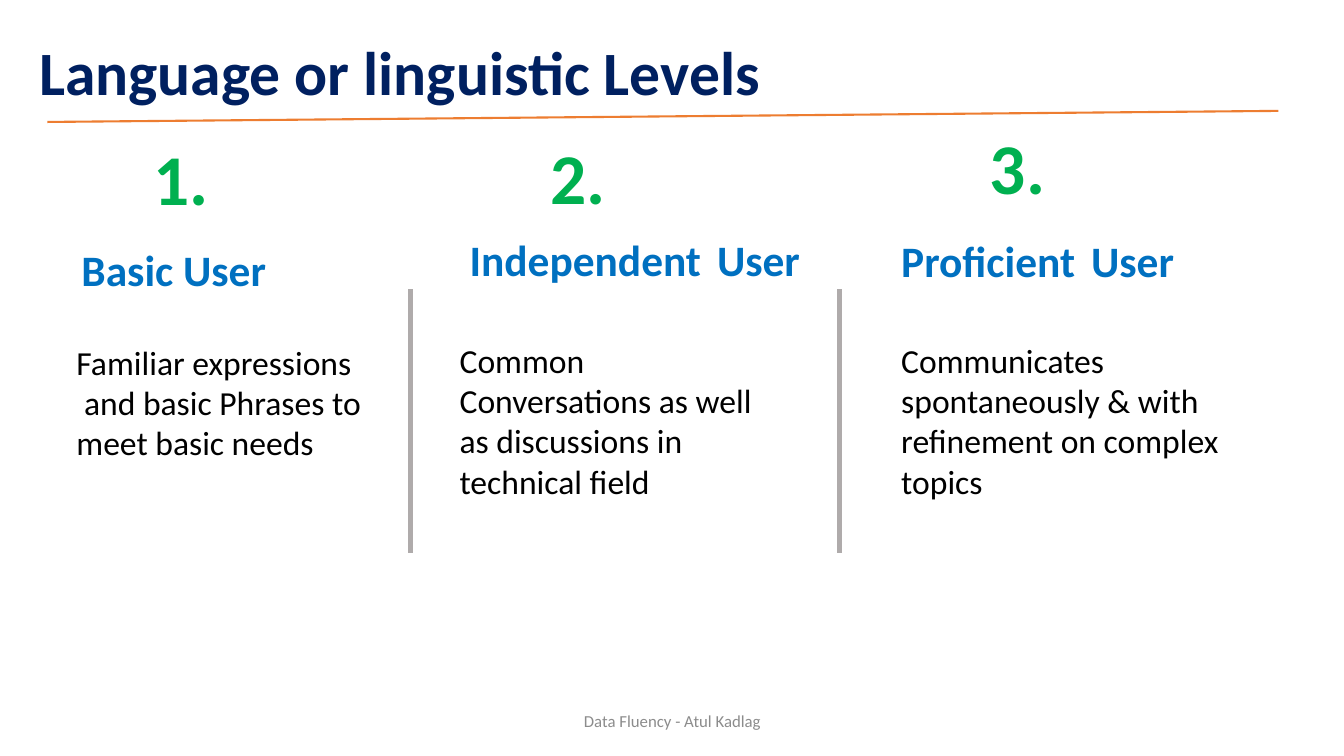
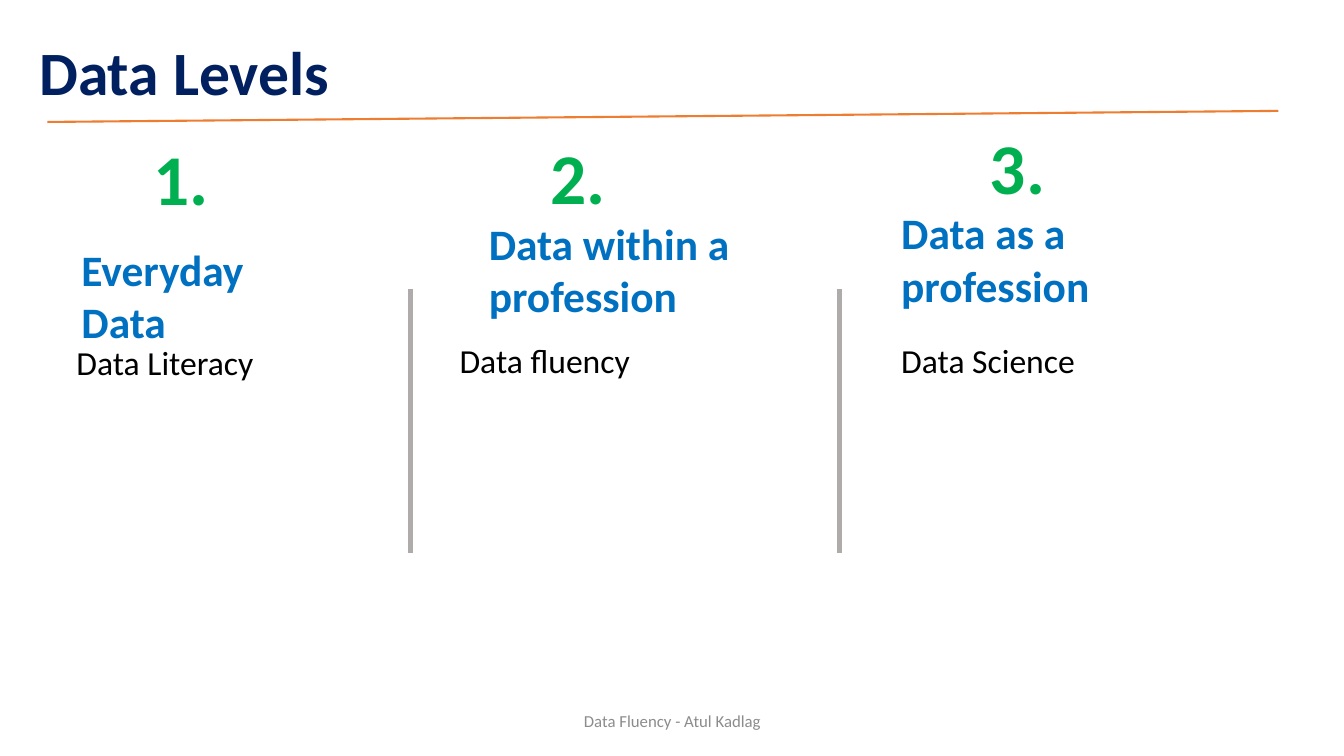
from dataclasses import dataclass
from typing import NamedTuple

from lxml.etree import SubElement
from pptx import Presentation
from pptx.dml.color import RGBColor
from pptx.enum.shapes import MSO_CONNECTOR as Connector
from pptx.enum.text import MSO_ANCHOR as Anchor, MSO_AUTO_SIZE as AutoSize, PP_ALIGN as Align
from pptx.oxml.ns import qn
from pptx.shapes.autoshape import Shape
from pptx.slide import Slide
from pptx.util import Inches, Pt


@dataclass(frozen=True)
class Theme:
    font: str = "Calibri"
    navy: str = "002060"
    blue: str = "0070C0"
    green: str = "00B050"
    orange: str = "ED7D31"
    black: str = "000000"
    grey: str = "8C8C8C"
    divider: str = "AFABAB"
    number_size: int = 51
    title_size: int = 44
    heading_size: int = 31
    body_size: int = 24
    footer_size: int = 12


class Area(NamedTuple):
    left: float
    top: float
    width: float
    height: float


class Column(NamedTuple):
    number: str
    number_area: Area
    body_left: float
    body_top: float


class Level(NamedTuple):
    """Heading lines (each a tuple of words joined by a wide gap) and body lines."""
    heading_area: Area
    heading: tuple[tuple[str, ...], ...]
    body: tuple[str, ...]
    body_height: float


class Topic(NamedTuple):
    title: str
    levels: tuple[Level, ...]


THEME = Theme()
TITLE_AREA = Area(0.29, 0.02, 11.5, 1.45)
FOOTER_AREA = Area(4.42, 6.95, 4.5, 0.4)
FOOTER = "Data Fluency - Atul Kadlag"
BODY_WIDTH = 3.35
DIVIDERS = (4.07, 8.33)
DIVIDER_TOP, DIVIDER_BOTTOM = 2.87, 5.49

COLUMNS = (
    Column("1.", Area(1.42, 1.28, 0.76, 0.96), 0.66, 3.34),
    Column("2.", Area(5.36, 1.27, 0.76, 0.96), 4.46, 3.32),
    Column("3.", Area(9.72, 1.17, 0.84, 0.96), 8.84, 3.32),
)

TOPICS = (
    Topic("Language or linguistic Levels", (
        Level(Area(0.71, 2.36, 2.19, 0.62), (("Basic User",),),
              ("Familiar expressions", " and basic Phrases to", "meet basic needs"), 1.33),
        Level(Area(4.56, 1.99, 3.63, 0.96), (("Independent", "User"),),
              ("Common Conversations as well as discussions in technical field",), 1.72),
        Level(Area(8.84, 2, 3.63, 0.96), (("Proficient", "User"),),
              ("Communicates spontaneously & with refinement on complex topics",), 1.72),
    )),
    Topic("Data Levels", (
        Level(Area(0.71, 2.36, 2.7, 0.62), (("Everyday Data",),), ("Data Literacy",), 0.5),
        Level(Area(4.75, 2.1, 3.13, 1.14), (("Data within a",), ("profession",)),
              ("Data fluency",), 0.5),
        Level(Area(8.84, 2, 3.63, 1.14), (("Data as a profession",),), ("Data Science",), 0.5),
    )),
)


def write(box: Shape, lines: tuple[tuple[str, ...], ...], *, size: int, color: str,
          bold: bool = False, align: Align = Align.LEFT, anchor: Anchor = Anchor.TOP,
          line_spacing: float = 1.0, grow: bool = True) -> None:
    """Fill a box; words within a line are parted by one number-sized space."""
    frame = box.text_frame
    frame.word_wrap = True
    frame.auto_size = AutoSize.SHAPE_TO_FIT_TEXT if grow else AutoSize.NONE
    frame.vertical_anchor = anchor
    for index, words in enumerate(lines):
        para = frame.add_paragraph() if index else frame.paragraphs[0]
        para.alignment = align
        para.line_spacing = line_spacing
        pieces = [(words[0], size)]
        for word in words[1:]:
            pieces += [(" ", THEME.number_size), (word, size)]
        for text, points in pieces:
            span = para.add_run()
            span.text = text
            span.font.name = THEME.font
            span.font.size = Pt(points)
            span.font.bold = bold
            span.font.color.rgb = RGBColor.from_string(color)


def add_text(page: Slide, area: Area, lines: tuple[tuple[str, ...], ...], **style) -> None:
    write(page.shapes.add_textbox(*map(Inches, area)), lines, **style)


def add_line(page: Slide, start: tuple[float, float], end: tuple[float, float], *,
             color: str, width: float) -> None:
    line = page.shapes.add_connector(Connector.STRAIGHT, *map(Inches, start + end))
    line.line.color.rgb = RGBColor.from_string(color)
    line.line.width = Pt(width)
    SubElement(line._element.spPr, qn("a:effectLst"))


def add_frame(page: Slide, title: str) -> None:
    """Draw the title, the rule, the dividers and the footer."""
    box = page.shapes.title
    box.left, box.top, box.width, box.height = map(Inches, TITLE_AREA)
    write(box, ((title,),), size=THEME.title_size, color=THEME.navy, bold=True,
          anchor=Anchor.MIDDLE, line_spacing=0.9, grow=False)
    add_line(page, (0.47, 1.21), (12.68, 1.1), color=THEME.orange, width=1.5)
    for left in DIVIDERS:
        add_line(page, (left, DIVIDER_TOP), (left, DIVIDER_BOTTOM),
                 color=THEME.divider, width=3.5)
    add_text(page, FOOTER_AREA, ((FOOTER,),), size=THEME.footer_size, color=THEME.grey,
             align=Align.CENTER, anchor=Anchor.MIDDLE, grow=False)


def add_level(page: Slide, column: Column, level: Level) -> None:
    add_text(page, column.number_area, ((column.number,),),
             size=THEME.number_size, color=THEME.green, bold=True)
    add_text(page, level.heading_area, level.heading,
             size=THEME.heading_size, color=THEME.blue, bold=True)
    body_area = Area(column.body_left, column.body_top, BODY_WIDTH, level.body_height)
    add_text(page, body_area, tuple((line,) for line in level.body),
             size=THEME.body_size, color=THEME.black)


def main() -> None:
    deck = Presentation()
    deck.slide_width, deck.slide_height = Inches(13.33), Inches(7.5)
    title_only = deck.slide_layouts.get_by_name("Title Only")
    for topic in TOPICS:
        page = deck.slides.add_slide(title_only)
        add_frame(page, topic.title)
        for column, level in zip(COLUMNS, topic.levels):
            add_level(page, column, level)
    deck.save("out.pptx")


if __name__ == "__main__":
    main()
